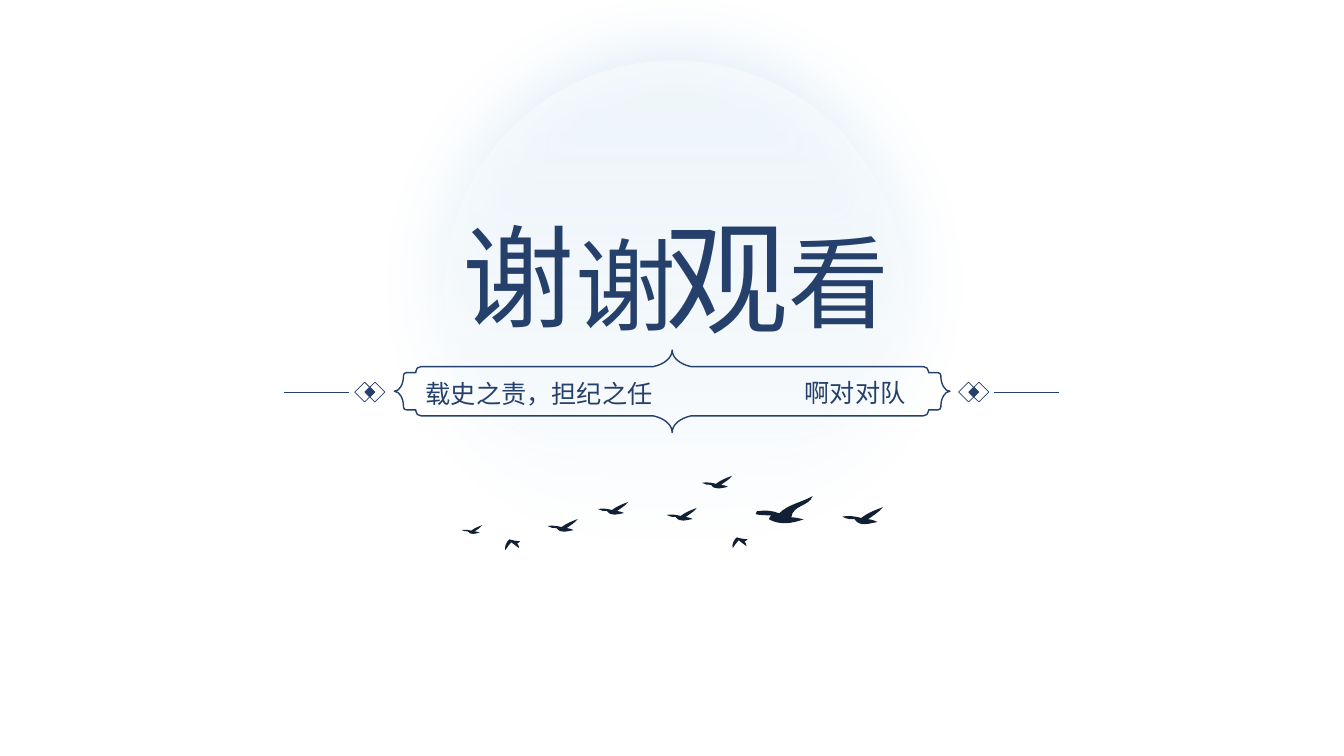
import lxml.etree
import pptx
import pptx.dml.color
import pptx.enum.shapes
import pptx.enum.text
import pptx.oxml.ns
import pptx.util

Cm = pptx.util.Cm
Pt = pptx.util.Pt
qn = pptx.oxml.ns.qn
SubElement = lxml.etree.SubElement
MSO_SHAPE = pptx.enum.shapes.MSO_SHAPE
ALIGN = pptx.enum.text.PP_ALIGN

COLORS = {"navy": "25406B", "bird": "122036", "moon": "FFFFFF", "glow": "66ACDB"}
RGB = {name: pptx.dml.color.RGBColor.from_string(value) for name, value in COLORS.items()}
FONT = "Noto Sans CJK SC"
CENTER_X = 16.93


def add_outline(points, kinds, left, top, scale=1):
    """Add a closed shape; each L in kinds takes one point, each C three (a Bézier curve)."""
    placed = [(Cm(left + x * scale), Cm(top + y * scale)) for x, y in points]
    builder = slide.shapes.build_freeform(*placed[0], scale=1.0)
    builder.add_line_segments(placed[1:], close=True)
    shape = builder.convert_to_shape()
    shape.shadow.inherit = False
    segments = iter(shape.element.xpath(".//a:lnTo"))
    for kind in kinds:
        segment = next(segments)
        if kind == "C":
            segment.tag = qn("a:cubicBezTo")
            for _ in range(2):
                extra = next(segments)
                segment.append(extra[0])
                extra.getparent().remove(extra)
    return shape


deck = pptx.Presentation()
deck.slide_width, deck.slide_height = Cm(33.87), Cm(19.05)
slide = deck.slides.add_slide(deck.slide_layouts[0])
title, subtitle = slide.placeholders[0], slide.placeholders[1]

# Moon with a soft blue glow, behind the title
moon = slide.shapes.add_shape(MSO_SHAPE.OVAL, Cm(11.2), Cm(1.52), Cm(11.58), Cm(11.58))
title.element.addprevious(moon.element)
moon.line.fill.background()
moon.fill.gradient()
moon.fill.gradient_angle = 270
for stop in moon.fill.gradient_stops:
    stop.color.rgb = RGB["moon"]
for white, alpha in zip(moon.element.xpath(".//a:gs/a:srgbClr"), ("50000", "0")):
    SubElement(white, qn("a:alpha"), val=alpha)
moon.shadow.inherit = False
effects = moon.element.spPr.find(qn("a:effectLst"))
glow = SubElement(effects, qn("a:outerShdw"), blurRad=str(Pt(44)), dist="0", dir="0",
                  sx="105000", sy="105000", algn="ctr", rotWithShape="0")
glow_color = SubElement(glow, qn("a:srgbClr"), val=COLORS["glow"])
SubElement(glow_color, qn("a:alpha"), val="40000")

# Title characters and the two captions
frame_format = {
    "margin_left": 0, "margin_right": 0, "margin_top": 0, "margin_bottom": 0,
    "word_wrap": False,
    "auto_size": pptx.enum.text.MSO_AUTO_SIZE.SHAPE_TO_FIT_TEXT,
    "vertical_anchor": pptx.enum.text.MSO_ANCHOR.TOP,
}
wording = [
    ("谢", 80, ALIGN.CENTER, title, (11.65, 5.23, 2.84, 3.43)),
    ("谢", 72, ALIGN.CENTER, None, (14.48, 5.61, 2.57, 3.07)),
    ("观", 88, ALIGN.CENTER, None, (16.76, 5.07, 3.12, 3.76)),
    ("看", 72, ALIGN.CENTER, None, (19.86, 5.54, 2.57, 3.07)),
    ("载史之责，担纪之任", 18, ALIGN.LEFT, subtitle, (10.73, 9.53, 5.77, 0.76)),
    ("啊对对队", 18, ALIGN.LEFT, None, (20.28, 9.5, 2.57, 0.76)),
]
for text, size, alignment, holder, place in wording:
    if holder is None:
        holder = slide.shapes.add_textbox(0, 0, 0, 0)
    holder.left, holder.top, holder.width, holder.height = map(Cm, place)
    for name, value in frame_format.items():
        setattr(holder.text_frame, name, value)
    paragraph = holder.text_frame.paragraphs[0]
    paragraph.alignment = alignment
    paragraph.space_before = Pt(0)
    run = paragraph.add_run()
    run.text = text
    for name, value in {"size": Pt(size), "name": FONT, "bold": False}.items():
        setattr(run.font, name, value)
    run.font.color.rgb = RGB["navy"]
    SubElement(run._r.get_or_add_rPr(), qn("a:ea"), typeface=FONT)

# Caption panel: one quarter, mirrored downwards and then to the left
quarter = [
    (0, -1.04), (0, -0.84), (0.2, -0.68), (0.48, -0.62), (6.33, -0.62),
    (6.4, -0.62), (6.46, -0.57), (6.46, -0.5), (6.46, -0.47), (6.69, -0.47),
    (6.74, -0.47), (6.77, -0.44), (6.77, -0.4), (6.77, -0.18), (6.87, 0), (7, 0)]
quarter_kinds = "CLCLLCC"
right_half = quarter + [(x, -y) for x, y in reversed(quarter[:-1])]
right_kinds = quarter_kinds + quarter_kinds[::-1]
left_half = [(-x, y) for x, y in reversed(right_half[:-1])]
panel = add_outline(right_half + left_half, right_kinds * 2, CENTER_X + 0.01, 9.86)
panel.fill.background()
panel.line.color.rgb = RGB["navy"]
panel.line.width = Pt(1)

# Birds: outlines in grid units, then left, top and width of each in cm
glider = [
    (30, 0), (25, 2), (19, 4), (14, 8), (10, 7), (5, 6), (0, 7), (3, 9), (6, 9), (9, 9),
    (13, 15), (20, 12), (26, 11), (24, 10), (21, 9), (19, 9), (23, 6), (27, 4), (30, 0)]
leader = [
    (56, 0), (46, 6), (32, 8), (23, 17), (16, 14), (8, 14), (1, 15), (0, 16), (0, 18), (0, 18),
    (5, 19), (10, 19), (15, 19), (14, 20), (13, 22), (13, 23), (24, 29), (36, 27), (47, 23),
    (43, 22), (39, 21), (35, 21), (36, 9), (53, 10), (56, 0)]
diver = [
    (16, 2), (12, 2), (9, 1), (5, 0), (2, 3), (0, 7), (1, 11), (3, 8), (5, 5), (7, 3),
    (10, 5), (12, 7), (15, 9), (15, 8), (14, 5), (13, 4), (14, 4), (15, 3), (16, 2)]
flock = [
    (glider, 16.8, 12.8, 0.76), (glider, 17.69, 11.99, 0.76),
    (glider, 15.07, 12.65, 0.76), (leader, 19.05, 12.5, 1.43),
    (diver, 18.44, 13.54, 0.4), (glider, 11.63, 13.23, 0.53),
    (glider, 21.23, 12.78, 1.02), (glider, 13.8, 13.08, 0.76),
    (diver, 12.71, 13.59, 0.4),
]
for outline, left, top, width in flock:
    bird = add_outline(outline, "C" * (len(outline) // 3), left, top, width / outline[0][0])
    bird.fill.solid()
    bird.fill.fore_color.rgb = RGB["bird"]
    bird.line.fill.background()

# Line and diamonds on each side of the panel
ORNAMENT_Y = 9.88
for side in (-1, 1):
    ornament = slide.shapes.add_group_shape().shapes
    rule = ornament.add_connector(
        pptx.enum.shapes.MSO_CONNECTOR.STRAIGHT,
        Cm(CENTER_X + side * 9.77), Cm(ORNAMENT_Y),
        Cm(CENTER_X + side * 8.13), Cm(ORNAMENT_Y))
    SubElement(rule.element.spPr, qn("a:effectLst"))
    rule.line.color.rgb = RGB["navy"]
    rule.line.width = Pt(0.5)
    for offset, size, filled in ((7.74, 0.5, False), (7.48, 0.5, False), (7.61, 0.25, True)):
        diamond = ornament.add_shape(
            MSO_SHAPE.DIAMOND, Cm(CENTER_X + side * offset - size / 2),
            Cm(ORNAMENT_Y - size / 2), Cm(size), Cm(size))
        diamond.shadow.inherit = False
        diamond.line.color.rgb = RGB["navy"]
        diamond.line.width = Pt(0.5)
        if filled:
            diamond.fill.solid()
            diamond.fill.fore_color.rgb = RGB["navy"]
        else:
            diamond.fill.background()

deck.save("out.pptx")
